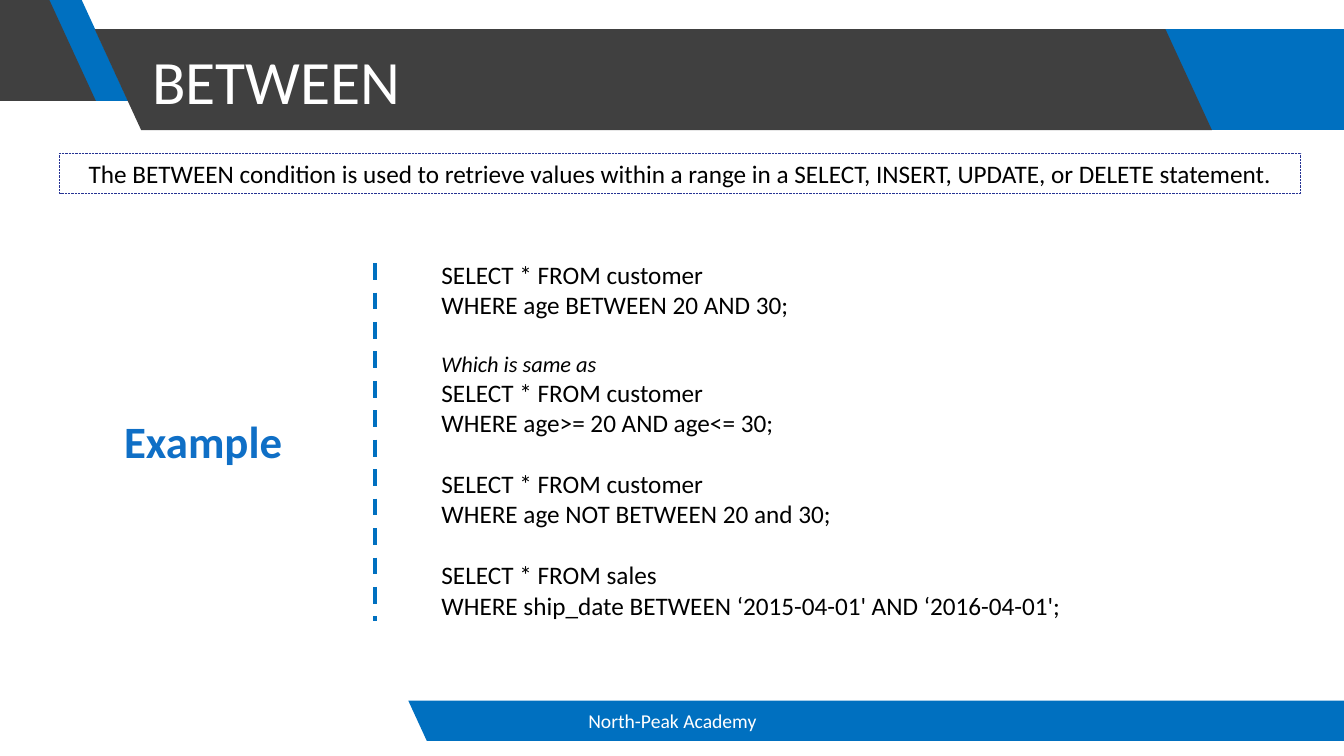
from lxml.etree import SubElement
from pptx import Presentation
from pptx.dml.color import RGBColor
from pptx.enum.dml import MSO_LINE
from pptx.enum.shapes import MSO_CONNECTOR, MSO_SHAPE
from pptx.enum.text import MSO_ANCHOR, PP_ALIGN
from pptx.oxml.ns import qn
from pptx.util import Inches, Pt

WIDTH, HEIGHT = Inches(13.33), Inches(7.5)
BLUE, DARK, WHITE, BLACK = "0070C0", "404040", "FFFFFF", "000000"
HEADER_HEIGHT, SLANT = 13.33, 3.45  # a band leans by SLANT over HEADER_HEIGHT

QUERIES = [
    [("SELECT * FROM customer", {}),
     ("WHERE age BETWEEN 20 AND 30;", {})],
    [("Which is same as", {"size": Pt(16), "italic": True}),
     ("SELECT * FROM customer", {}),
     ("WHERE age>= 20 AND age<= 30;", {})],
    [("SELECT * FROM customer", {}),
     ("WHERE age NOT BETWEEN 20 and 30;", {})],
    [("SELECT * FROM sales", {}),
     ("WHERE ship_date BETWEEN ‘2015-04-01' AND ‘2016-04-01';", {})],
]


def across(percent):
    return round(WIDTH * percent / 100)


def down(percent):
    return round(HEIGHT * percent / 100)


def area(left, top, width, height):
    return across(left), down(top), across(width), down(height)


def color(hex_value):
    return RGBColor.from_string(hex_value)


def set_line(line, hex_value, width, dash):
    line.color.rgb = color(hex_value)
    line.width = Pt(width)
    line.dash_style = dash


def add_band(slide, left, right, top, height, fill, lean_left=True, lean_right=True):
    """Draw a flat band whose sides may lean to the right on the way down."""
    lean = SLANT * height / HEADER_HEIGHT
    bottom = top + height
    corners = [(left, top), (right, top),
               (right + lean * lean_right, bottom), (left + lean * lean_left, bottom)]
    points = [(across(x), down(y)) for x, y in corners]
    builder = slide.shapes.build_freeform(*points[0], scale=1.0)
    builder.add_line_segments(points[1:], close=True)
    band = builder.convert_to_shape()
    band.shadow.inherit = False
    band.fill.solid()
    band.fill.fore_color.rgb = color(fill)
    band.line.fill.background()


def write(paragraph, text, hex_value, **font_format):
    run = paragraph.add_run()
    run.text = text
    run.font.color.rgb = color(hex_value)
    for name, value in ({"name": "Calibri"} | font_format).items():
        setattr(run.font, name, value)


def prepare_frame(shape, anchor=MSO_ANCHOR.TOP, align=PP_ALIGN.LEFT):
    frame = shape.text_frame
    frame.word_wrap = True
    frame.vertical_anchor = anchor
    frame.paragraphs[0].alignment = align
    return frame


def add_label(slide, place, text, hex_value, size, anchor=MSO_ANCHOR.TOP,
              align=PP_ALIGN.CENTER, bold=False):
    frame = prepare_frame(slide.shapes.add_textbox(*area(*place)), anchor, align)
    write(frame.paragraphs[0], text, hex_value, size=Pt(size), bold=bold)


def add_definition(slide, place, text):
    definition = slide.shapes.add_shape(MSO_SHAPE.RECTANGLE, *area(*place))
    definition.shadow.inherit = False
    definition.fill.background()
    set_line(definition.line, "263393", 0.5, MSO_LINE.ROUND_DOT)
    frame = prepare_frame(definition, align=PP_ALIGN.CENTER)
    write(frame.paragraphs[0], text, BLACK, size=Pt(18))


def add_divider(slide, x, top, bottom):
    divider = slide.shapes.add_connector(
        MSO_CONNECTOR.STRAIGHT, across(x), down(top), across(x), down(bottom))
    set_line(divider.line, BLUE, 3, MSO_LINE.DASH)
    SubElement(divider._element.spPr, qn("a:effectLst"))


def add_queries(slide, place, queries):
    frame = prepare_frame(slide.shapes.add_textbox(*area(*place)))
    for query_index, query in enumerate(queries):
        for line_index, (text, font_format) in enumerate(query):
            first = query_index == line_index == 0
            paragraph = frame.paragraphs[0] if first else frame.add_paragraph()
            if line_index == 0 and not first:
                paragraph.space_before = Pt(22)
            write(paragraph, text, BLACK, **({"size": Pt(18)} | font_format))


def main():
    presentation = Presentation()
    presentation.slide_width, presentation.slide_height = WIDTH, HEIGHT
    slide = presentation.slides.add_slide(presentation.slide_layouts[6])

    # Header bands, from back to front
    add_band(slide, 80.12, 100, 3.87, HEADER_HEIGHT, BLUE, False, False)
    add_band(slide, 2.55, 6.08, 0, HEADER_HEIGHT, BLUE)
    add_band(slide, 0, 3.68, 0, HEADER_HEIGHT, DARK, lean_left=False)
    add_band(slide, 7.05, 86.72, 3.87, HEADER_HEIGHT, DARK)
    add_label(slide, (10.58, 0.93, 76.07, 19.33), "BETWEEN", WHITE, 44,
              MSO_ANCHOR.MIDDLE, PP_ALIGN.LEFT)

    # Footer
    add_band(slide, 30.38, 100, 92.67, 5.33, BLUE, lean_right=False)
    add_label(slide, (33.16, 92.67, 33.76, 5.33), "North-Peak Academy", WHITE, 14,
              MSO_ANCHOR.MIDDLE)

    # Definition and examples
    add_definition(slide, (4.43, 20.27, 92.35, 5.33),
                   "The BETWEEN condition is used to retrieve values within a range "
                   "in a SELECT, INSERT, UPDATE, or DELETE statement.")
    add_divider(slide, 27.91, 34.8, 82.13)
    add_label(slide, (2.33, 54.13, 25.58, 8.53), "Example", "0F6FC6", 32, bold=True)
    add_queries(slide, (32.11, 33.6, 61.97, 49.33), QUERIES)

    presentation.save("out.pptx")


if __name__ == "__main__":
    main()
